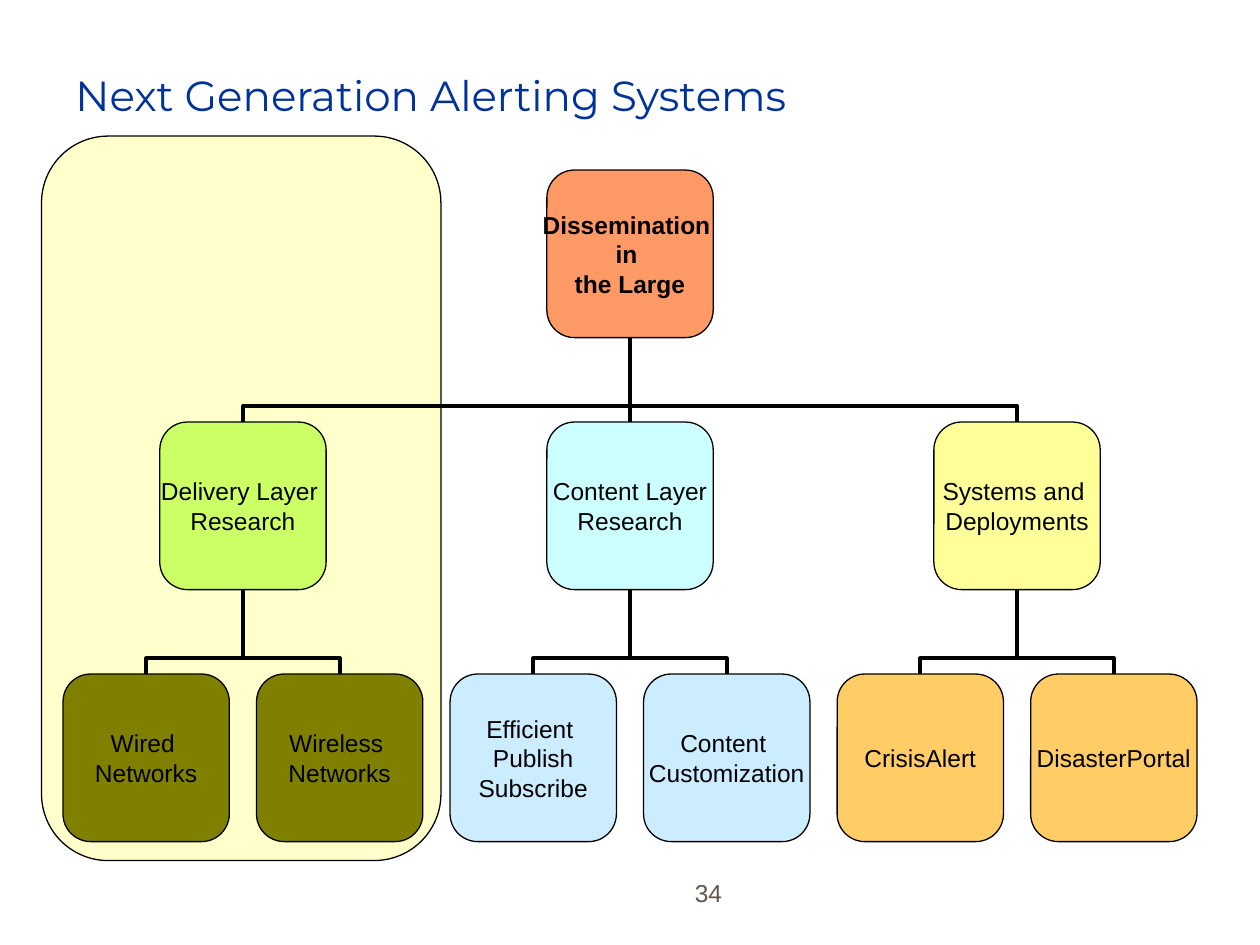
from dataclasses import dataclass

from lxml.etree import SubElement
from pptx import Presentation
from pptx.dml.color import RGBColor
from pptx.enum.shapes import MSO_CONNECTOR, MSO_SHAPE
from pptx.enum.text import MSO_ANCHOR, PP_ALIGN
from pptx.oxml.ns import qn
from pptx.util import Inches, Pt


@dataclass(frozen=True)
class Theme:
    """Colours, fonts and sizes of the slide."""
    ink: str = "000000"
    title: str = "003399"
    number: str = "5E574E"
    panel: str = "FFFFCC"
    root: str = "FF9966"
    delivery: str = "CCFF66"
    content: str = "CCFFFF"
    systems: str = "FFFF99"
    networks: str = "808000"
    services: str = "CCECFF"
    deployments: str = "FFCC66"
    heading_font: str = "Montserrat"
    body_font: str = "Arial"
    title_size: int = 24
    body_size: int = 14
    outline: float = 0.75
    branch: float = 2.25


THEME = Theme()
BOX_WIDTH, BOX_HEIGHT = 1.32, 1.33
MARGIN, SLIDE_WIDTH = 0.5, 10
LEVEL_TOPS = (1.35, 3.35, 5.35)
LEAVES_PER_BRANCH = 2
ROOT_LINES = ("Dissemination ", "in ", "the Large")
BRANCHES = (
    (("Delivery Layer ", "Research"), THEME.delivery, THEME.networks,
     (("Wired ", "Networks"), ("Wireless ", "Networks"))),
    (("Content Layer", "Research"), THEME.content, THEME.services,
     (("Efficient ", "Publish", "Subscribe"), ("Content ", "Customization"))),
    (("Systems and ", "Deployments"), THEME.systems, THEME.deployments,
     (("CrisisAlert",), ("DisasterPortal",))),
)


def write_lines(text_frame, lines, alignment, size, color, font, bold=False):
    """Write each line as one paragraph with one run."""
    for index, line in enumerate(lines):
        paragraph = text_frame.paragraphs[0] if index == 0 else text_frame.add_paragraph()
        paragraph.alignment = alignment
        run = paragraph.add_run()
        run.text = line
        run.font.size = Pt(size)
        run.font.name = font
        run.font.bold = bold
        run.font.color.rgb = RGBColor.from_string(color)


def add_label(slide, bounds, text, alignment, size, color, font):
    """Add a bottom-anchored text box."""
    text_frame = slide.shapes.add_textbox(*map(Inches, bounds)).text_frame
    text_frame.word_wrap = True
    text_frame.vertical_anchor = MSO_ANCHOR.BOTTOM
    write_lines(text_frame, (text,), alignment, size, color, font)


def add_rounded(slide, bounds, fill):
    """Add an outlined rounded rectangle."""
    shape = slide.shapes.add_shape(MSO_SHAPE.ROUNDED_RECTANGLE, *map(Inches, bounds))
    shape.shadow.inherit = False
    shape.fill.solid()
    shape.fill.fore_color.rgb = RGBColor.from_string(fill)
    shape.line.color.rgb = RGBColor.from_string(THEME.ink)
    shape.line.width = Pt(THEME.outline)
    return shape


def add_node(slide, center, level, lines, fill, bold=False):
    """Add one box of the tree with its centred text."""
    bounds = (center - BOX_WIDTH / 2, LEVEL_TOPS[level], BOX_WIDTH, BOX_HEIGHT)
    text_frame = add_rounded(slide, bounds, fill).text_frame
    text_frame.margin_left = text_frame.margin_right = 0
    text_frame.margin_top = text_frame.margin_bottom = 0
    text_frame.word_wrap = False
    text_frame.vertical_anchor = MSO_ANCHOR.MIDDLE
    write_lines(text_frame, lines, PP_ALIGN.CENTER, THEME.body_size, THEME.ink,
                THEME.body_font, bold)


def add_branch(slide, child, parent, level):
    """Link the top of a child to the bottom of its parent one level above."""
    bottom, top = LEVEL_TOPS[level], LEVEL_TOPS[level - 1] + BOX_HEIGHT
    spread = child - parent
    straight = abs(spread) < 0.01
    if straight:
        kind, ends = MSO_CONNECTOR.STRAIGHT, (child, bottom, parent, top)
    else:
        side = 1 if spread > 0 else -1
        middle_x, middle_y = (child + parent) / 2, (top + bottom) / 2
        half_width, half_height = side * (bottom - top) / 2, abs(spread) / 2
        kind = MSO_CONNECTOR.ELBOW
        ends = (middle_x - half_width, middle_y + half_height,
                middle_x + half_width, middle_y - half_height)
    connector = slide.shapes.add_connector(kind, *map(Inches, ends))
    connector.line.color.rgb = RGBColor.from_string(THEME.ink)
    connector.line.width = Pt(THEME.branch)
    properties = connector.element.spPr
    SubElement(properties, qn("a:effectLst"))
    if not straight:
        degrees = 270 if spread > 0 else 90
        properties.find(qn("a:xfrm")).set("rot", str(degrees * 60000))
        adjustments = properties.find(qn("a:prstGeom")).get_or_add_avLst()
        SubElement(adjustments, qn("a:gd"), name="adj1", fmla="val 18700")


def add_tree(slide):
    """Draw the links of the tree and then its boxes."""
    leaf_count = len(BRANCHES) * LEAVES_PER_BRANCH
    step = (SLIDE_WIDTH - 2 * MARGIN - BOX_WIDTH) / (leaf_count - 1)
    leaf_centers = [MARGIN + BOX_WIDTH / 2 + step * index for index in range(leaf_count)]
    root_center = SLIDE_WIDTH / 2
    links, nodes = [], [(root_center, 0, ROOT_LINES, THEME.root, True)]
    for index, (lines, fill, leaf_fill, leaves) in enumerate(BRANCHES):
        start = index * LEAVES_PER_BRANCH
        centers = leaf_centers[start:start + LEAVES_PER_BRANCH]
        branch_center = sum(centers) / len(centers)
        links.append((branch_center, root_center, 1))
        nodes.append((branch_center, 1, lines, fill))
        for center, leaf_lines in zip(centers, leaves):
            links.append((center, branch_center, 2))
            nodes.append((center, 2, leaf_lines, leaf_fill))
    for link in links:
        add_branch(slide, *link)
    for node in nodes:
        add_node(slide, *node)


def main():
    """Build and save the slide."""
    presentation = Presentation()
    presentation.slide_width = Inches(SLIDE_WIDTH)
    presentation.slide_height = Inches(7.5)
    slide = presentation.slides.add_slide(presentation.slide_layouts[6])
    add_label(slide, (5, 6.75, 0.83, 0.5), "34", PP_ALIGN.RIGHT,
              THEME.body_size, THEME.number, THEME.body_font)
    add_rounded(slide, (0.33, 1.08, 3.17, 5.75), THEME.panel)
    add_label(slide, (0.5, 0.3, 9, 0.7), "Next Generation Alerting Systems", PP_ALIGN.LEFT,
              THEME.title_size, THEME.title, THEME.heading_font)
    add_tree(slide)
    presentation.save("out.pptx")


if __name__ == "__main__":
    main()
